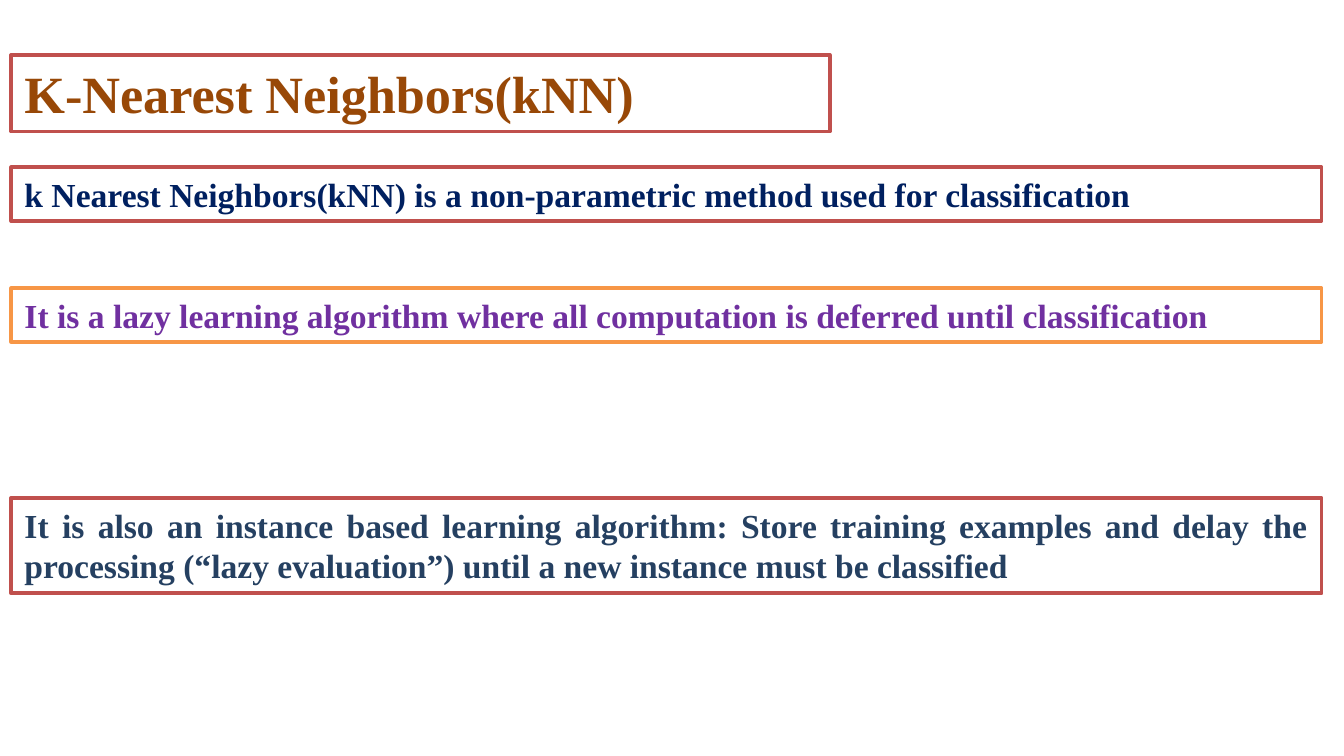
from dataclasses import dataclass
from pptx import Presentation as Deck
from pptx.dml.color import RGBColor as Rgb
from pptx.enum.shapes import MSO_SHAPE as Shape
from pptx.enum.text import MSO_ANCHOR as Anchor, MSO_AUTO_SIZE as Fit, PP_ALIGN as Align
from pptx.util import Inches, Pt


@dataclass(frozen=True)
class Theme:
    font: str = "Times New Roman"
    head: int = 28
    body: int = 18
    edge: int = 2
    paper: str = "FFFFFF"
    red: str = "C0504D"
    gold: str = "F79646"
    brown: str = "984807"
    navy: str = "002060"
    plum: str = "7030A0"
    slate: str = "254061"


LOOK = Theme()
WIDE = 10
HIGH = WIDE * 9 / 16
LEFT, FULL = 1 / 12 / WIDE, 9.75 / WIDE


def panel(slide, box, text, size, ink, rim, align=Align.LEFT):
    """Draw a framed line of text; box holds shares of the slide's size."""
    x, y, w, h = box
    card = slide.shapes.add_shape(
        Shape.RECTANGLE, Inches(x * WIDE), Inches(y * HIGH),
        Inches(w * WIDE), Inches(h * HIGH))
    card.shadow.inherit = False
    card.fill.solid()
    card.fill.fore_color.rgb = Rgb.from_string(LOOK.paper)
    card.line.color.rgb = Rgb.from_string(rim)
    card.line.width = Pt(LOOK.edge)

    frame = card.text_frame
    frame.text = text
    frame.word_wrap = True
    frame.auto_size = Fit.SHAPE_TO_FIT_TEXT
    frame.vertical_anchor = Anchor.TOP
    para = frame.paragraphs[0]
    para.alignment = align
    font = para.runs[0].font
    font.name, font.size, font.bold = LOOK.font, Pt(size), True
    font.color.rgb = Rgb.from_string(ink)


def title(slide, box):
    panel(slide, box, "K-Nearest Neighbors(kNN)", LOOK.head, LOOK.brown, LOOK.red)


def points(slide, box):
    """Stack the statements; tops and heights are shares of the slide."""
    x, y, w, h = box
    line = 0.4 / HIGH
    rows = [
        (0, line, "k Nearest Neighbors(kNN) is a non-parametric method used for "
         "classification", LOOK.navy, LOOK.red, Align.LEFT),
        (0.9 / HIGH, line, "It is a lazy learning algorithm where all computation is "
         "deferred until classification", LOOK.plum, LOOK.gold, Align.LEFT),
        (h - 0.71 / HIGH, 0.71 / HIGH, "It is also an instance based learning "
         "algorithm: Store training examples and delay the processing (“lazy "
         "evaluation”) until a new instance must be classified",
         LOOK.slate, LOOK.red, Align.JUSTIFY),
    ]
    for top, tall, text, ink, rim, align in rows:
        panel(slide, (x, y + top, w, tall), text, LOOK.body, ink, rim, align)


def main():
    deck = Deck()
    deck.slide_width, deck.slide_height = Inches(WIDE), Inches(HIGH)
    slide = deck.slides.add_slide(deck.slide_layouts[6])
    # Heading
    title(slide, (LEFT, 0.41 / HIGH, 6.09 / WIDE, 0.57 / HIGH))
    # Statements
    points(slide, (LEFT, 1.245 / HIGH, FULL, 3.17 / HIGH))
    deck.save("out.pptx")


if __name__ == "__main__":
    main()
